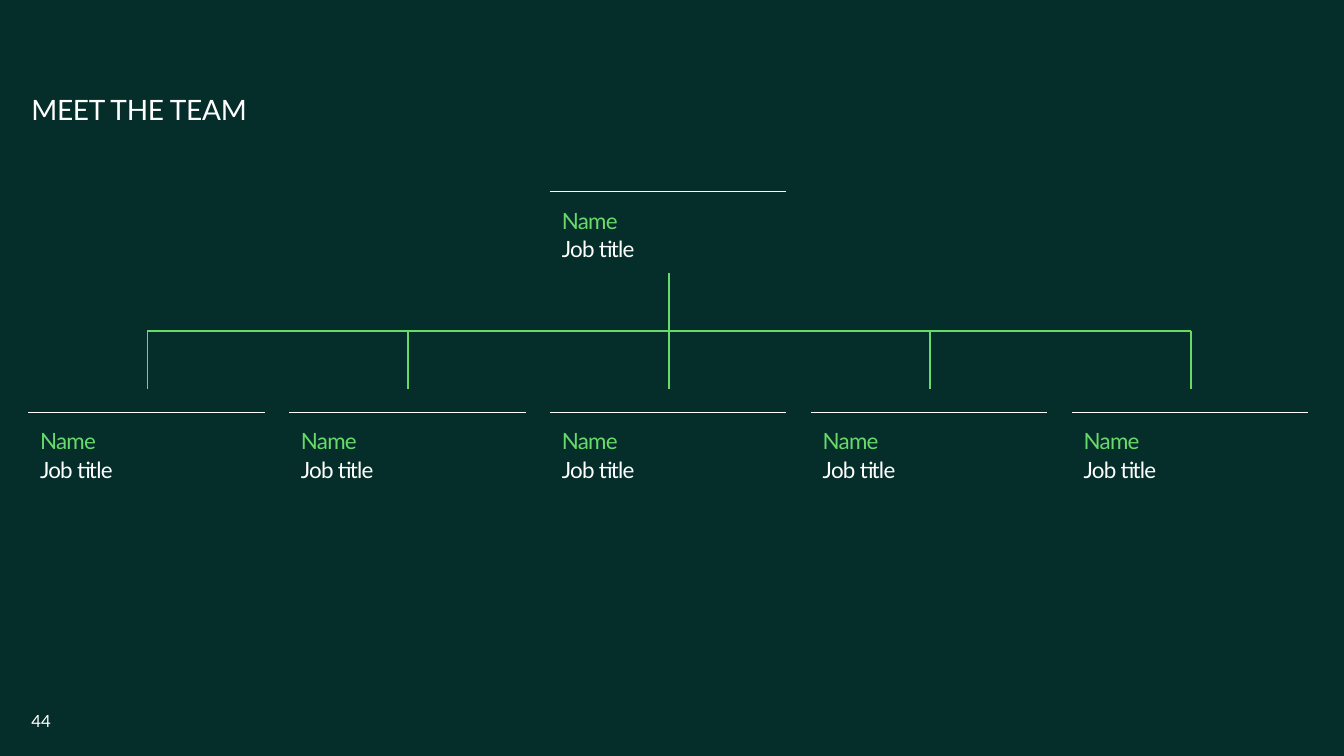
import pptx
import pptx.dml.color
import pptx.enum.shapes
import pptx.enum.text
import pptx.oxml.ns
import pptx.util
from lxml import etree
from pptx.util import Cm

WHITE, GREEN, DARK = "FFFFFF", "68DA6A", "052E2B"
TEAM_SIZE = 5
BOSS_COLUMN = TEAM_SIZE // 2
LEFT, PITCH, CARD_WIDTH, HALF_CARD = 0.71, 6.575, 5.96, 3
BOSS_TOP, STEM_TOP, BRANCH_Y, STEM_BOTTOM, TEAM_TOP = 4.83, 6.88, 8.34, 9.8, 10.39


def color(value):
    return pptx.dml.color.RGBColor.from_string(value)


def add_text(s, text, x, y, w, h, size=16, fill=WHITE, spacing=0, inset=True,
             middle=False, line_spacing=None, after=0):
    tf = s.shapes.add_textbox(Cm(x), Cm(y), Cm(w), Cm(h)).text_frame
    tf.word_wrap = True
    if not inset:
        tf.margin_left = tf.margin_right = tf.margin_top = tf.margin_bottom = 0
    if middle:
        tf.vertical_anchor = pptx.enum.text.MSO_ANCHOR.MIDDLE
    p = tf.paragraphs[0]
    p.space_after = pptx.util.Pt(after)
    if line_spacing:
        p.line_spacing = line_spacing
    r = p.add_run()
    r.text = text
    r.font.name = "Lato"
    r.font.size = pptx.util.Pt(size)
    r.font.color.rgb = color(fill)
    if spacing:
        r._r.get_or_add_rPr().set("spc", str(round(spacing * 100)))


def add_line(s, x1, y1, x2, y2, stroke):
    line = s.shapes.add_connector(pptx.enum.shapes.MSO_CONNECTOR.STRAIGHT,
                                  Cm(x1), Cm(y1), Cm(x2), Cm(y2))
    line.line.color.rgb = color(stroke)
    line.line.width = pptx.util.Pt(1)
    etree.SubElement(line._element.spPr, pptx.oxml.ns.qn("a:effectLst"))


def column_left(column):
    return LEFT + column * PITCH


def column_center(column):
    return column_left(column) + HALF_CARD


def add_card(s, column, top):
    x = column_left(column)
    add_line(s, x, top, x + CARD_WIDTH, top, WHITE)
    for text, offset, fill in (("Name", 0.26, GREEN), ("Job title", 0.97, WHITE)):
        add_text(s, text, x + 0.05, top + offset, 5.92, 0.69,
                 fill=fill, spacing=-0.5, after=6)


def add_branches(s):
    add_line(s, column_center(0), BRANCH_Y, column_center(TEAM_SIZE - 1), BRANCH_Y, GREEN)
    boss_x = column_center(BOSS_COLUMN)
    add_line(s, boss_x, STEM_TOP, boss_x, BRANCH_Y, GREEN)
    for column in range(TEAM_SIZE):
        x = column_center(column)
        add_line(s, x, BRANCH_Y, x, STEM_BOTTOM, GREEN)


def main():
    prs = pptx.Presentation()
    prs.slide_width, prs.slide_height = Cm(33.87), Cm(19.05)
    s = prs.slides.add_slide(prs.slide_layouts[6])
    s.background.fill.solid()
    s.background.fill.fore_color.rgb = color(DARK)
    add_text(s, "MEET THE TEAM", 0.79, 2.44, 16, 0.76, size=20, spacing=-0.2,
             inset=False, line_spacing=0.9)
    add_card(s, BOSS_COLUMN, BOSS_TOP)
    add_branches(s)
    for column in range(TEAM_SIZE):
        add_card(s, column, TEAM_TOP)
    add_text(s, "44", 0.79, 17.65, 1, 1.02, size=12, inset=False, middle=True)
    prs.save("out.pptx")


if __name__ == "__main__":
    main()
